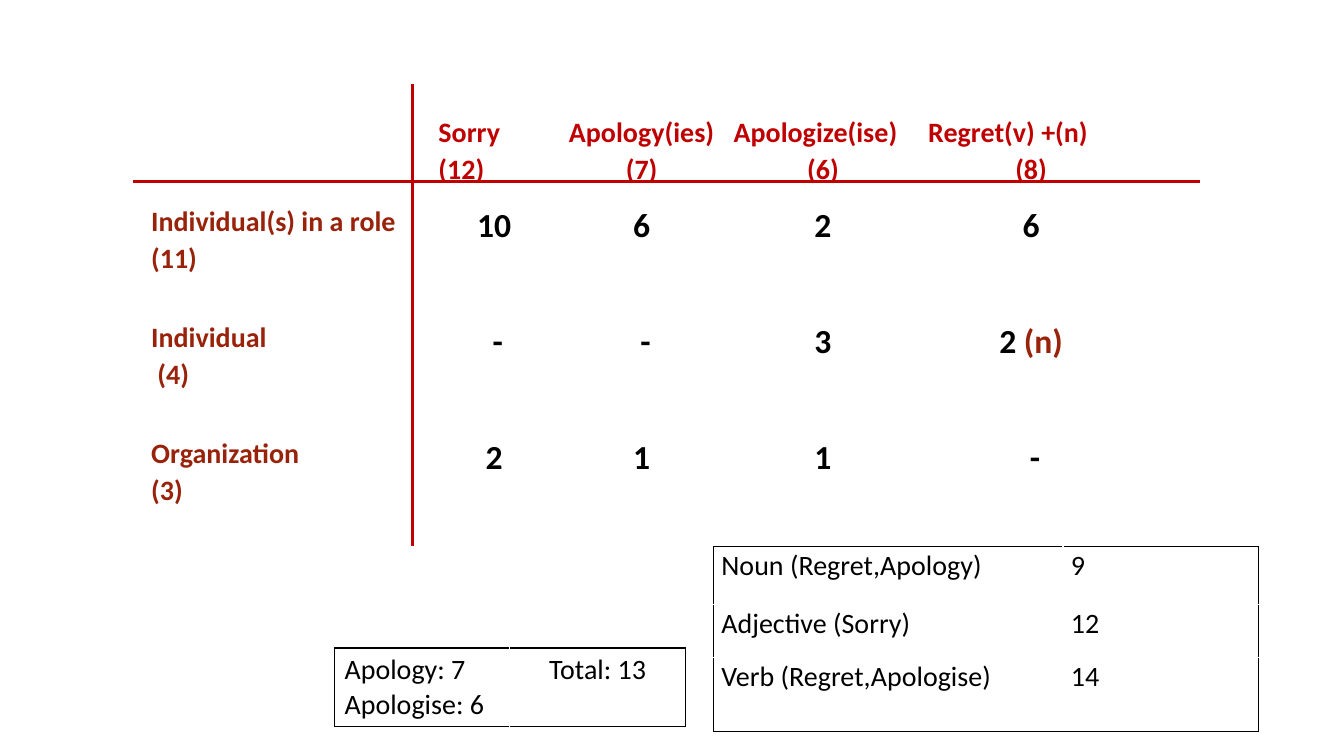
from dataclasses import dataclass

from lxml import etree
from pptx import Presentation
from pptx import util as u
from pptx.dml import color
from pptx.enum import shapes, text
from pptx.oxml import ns

LEFT, CENTER = text.PP_ALIGN.LEFT, text.PP_ALIGN.CENTER


@dataclass(frozen=True)
class Theme:
    font: str = "Calibri"
    ink: str = "000000"
    paper: str = "FFFFFF"
    red: str = "C00000"
    rust: str = "98220A"
    body: int = 20
    count: int = 24
    rule: float = 2
    border: float = 1


def set_words(cell, words, *, theme, size=None, ink=None, bold=False,
              aligns=(LEFT, LEFT), spacing=None, tail="", tail_ink=None):
    frame = cell.text_frame
    for index, (line, align) in enumerate(zip(words.split("\n"), aligns)):
        paragraph = frame.add_paragraph() if index else frame.paragraphs[0]
        paragraph.alignment = align
        if spacing:
            paragraph.line_spacing = spacing
        for part, part_ink in ((line, ink or theme.ink), (tail, tail_ink)):
            if part:
                run = paragraph.add_run()
                run.text = part
                run.font.name = theme.font
                run.font.size = u.Pt(size or theme.body)
                run.font.bold = bold
                run.font.color.rgb = color.RGBColor.from_string(part_ink)


class Board:
    def __init__(self, slide, theme):
        self.slide = slide
        self.theme = theme

    def border(self, cell, inks):
        properties = cell._tc.get_or_add_tcPr()
        for index, (side, ink) in enumerate(zip("LRTB", inks)):
            edge = etree.Element(ns.qn(f"a:ln{side}"),
                                 w=str(u.Pt(self.theme.border)))
            fill = etree.SubElement(edge, ns.qn("a:solidFill"))
            etree.SubElement(fill, ns.qn("a:srgbClr"), val=ink)
            properties.insert(index, edge)

    def table(self, left, top, widths, heights, outline, tight=True):
        frame = self.slide.shapes.add_table(
            len(heights), len(widths), u.Cm(left), u.Cm(top),
            u.Cm(sum(widths)), u.Cm(sum(heights)))
        grid = frame.table
        grid.first_row = grid.horz_banding = False
        for column, width in zip(grid.columns, widths):
            column.width = u.Cm(width)
        for row, height in zip(grid.rows, heights):
            row.height = u.Cm(height)
        last_row, last_column = len(heights) - 1, len(widths) - 1
        for r in range(len(heights)):
            for c in range(len(widths)):
                cell = grid.cell(r, c)
                cell.fill.background()
                outer = (c == 0, c == last_column, r == 0, r == last_row)
                self.border(cell, [outline if edge else self.theme.paper
                                   for edge in outer])
                if tight:
                    cell.margin_left = cell.margin_right = u.Cm(0.2)
                    cell.margin_top = cell.margin_bottom = 0
        return grid

    def rule(self, x1, y1, x2, y2):
        line = self.slide.shapes.add_connector(
            shapes.MSO_CONNECTOR.STRAIGHT,
            u.Cm(x1), u.Cm(y1), u.Cm(x2), u.Cm(y2))
        line.line.color.rgb = color.RGBColor.from_string(self.theme.red)
        line.line.width = u.Pt(self.theme.rule)
        etree.SubElement(line._element.spPr, ns.qn("a:effectLst"))

    def words(self, cell, words, **style):
        set_words(cell, words, theme=self.theme, **style)


def main():
    deck = Presentation()
    deck.slide_width, deck.slide_height = u.Cm(33.87), u.Cm(19.05)
    theme = Theme()
    board = Board(deck.slides.add_slide(deck.slide_layouts[6]), theme)

    speakers = board.table(3.61, 2.87, [7.24, 3.2, 4.24, 4.9, 5.59],
                           [2.24, 2.92, 2.92, 2.92, 1.42], theme.paper)
    expressions = [
        ("Sorry (12)", (LEFT,)),
        ("Apology(ies) (7)", (CENTER,)),
        ("Apologize(ise)\n(6)", (LEFT, CENTER)),
        ("Regret(v) +(n)\n(8)", (LEFT, CENTER)),
    ]
    for c, (expression, aligns) in enumerate(expressions, 1):
        board.words(speakers.cell(0, c), expression, ink=theme.red,
                    bold=True, aligns=aligns, spacing=1.07)

    counts = [
        ("Individual(s) in a role (11)", ["10", "6", "2", "6"]),
        ("Individual\n (4)", [" -", " -", "3", "2 (n)"]),
        ("Organization\n(3)", ["2", "1", "1", " -"]),
    ]
    for r, (speaker, numbers) in enumerate(counts, 1):
        board.words(speakers.cell(r, 0), speaker, ink=theme.rust,
                    bold=True, spacing=1.07)
        for c, number in enumerate(numbers, 1):
            figure, noun, _ = number.partition("(n)")
            board.words(speakers.cell(r, c), figure, size=theme.count,
                        bold=True, aligns=(CENTER,), spacing=1.07,
                        tail=noun, tail_ink=theme.rust)

    board.rule(3.35, 4.57, 30.23, 4.57)
    board.rule(10.39, 2.11, 10.39, 13.77)

    word_classes = board.table(17.98, 13.77, [8.81, 4.93],
                               [1.47, 1.32, 1.88], theme.ink)
    totals = [("Noun (Regret,Apology)", "9"), ("Adjective (Sorry)", "12"),
              ("Verb (Regret,Apologise)", "14")]
    for r, entry in enumerate(totals):
        for c, words in enumerate(entry):
            board.words(word_classes.cell(r, c), words, spacing=1.07)

    apologies = board.table(8.43, 16.33, [4.42, 4.42], [1.96], theme.ink,
                            tight=False)
    board.words(apologies.cell(0, 0), "Apology: 7\nApologise: 6")
    board.words(apologies.cell(0, 1), "Total: 13", aligns=(CENTER,))

    deck.save("out.pptx")


if __name__ == "__main__":
    main()
